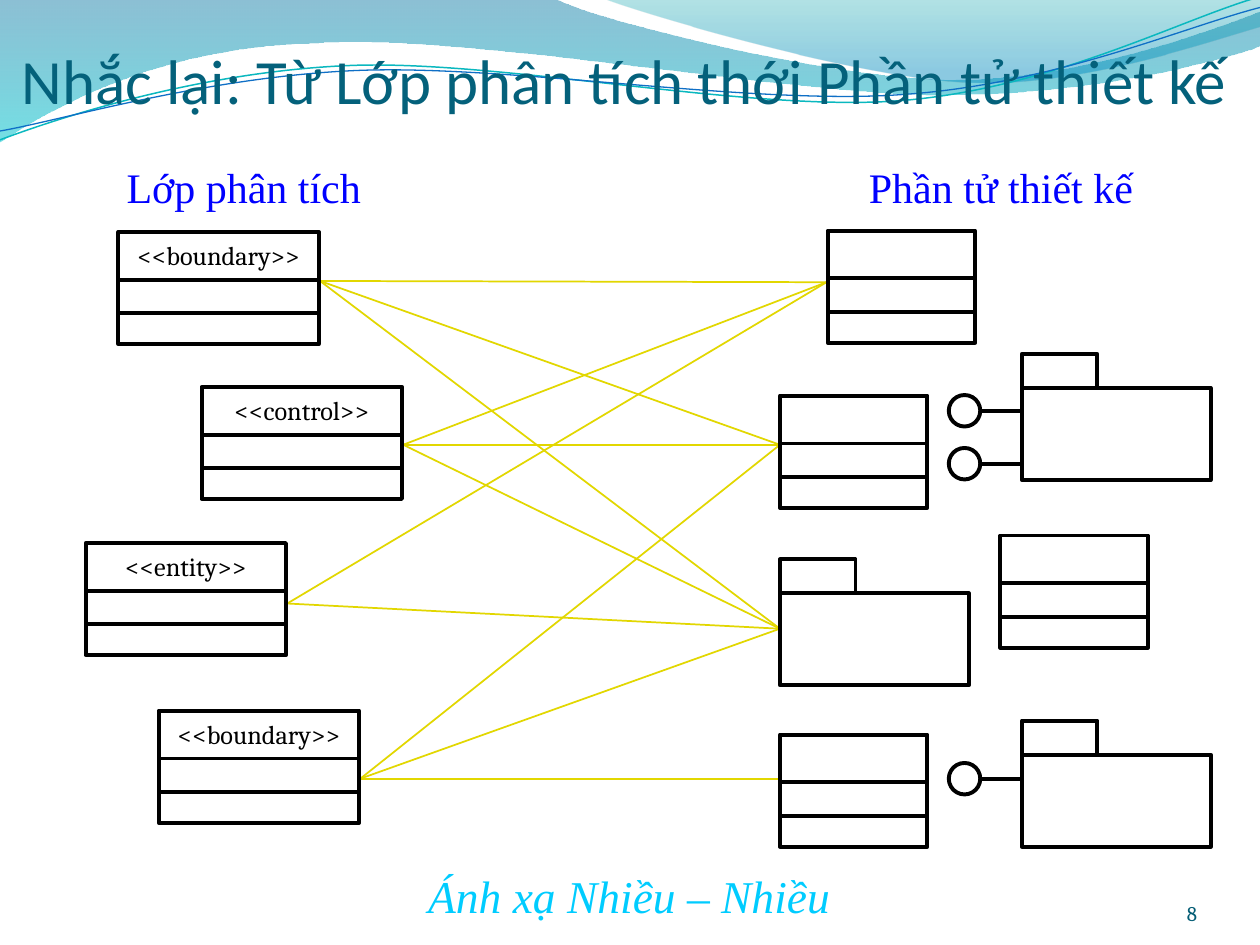
"""Build the slide that maps analysis classes to design elements."""
from math import cos, radians, sin

from lxml.etree import SubElement
from pptx import Presentation
from pptx.dml.color import RGBColor
from pptx.enum.shapes import MSO_CONNECTOR, MSO_SHAPE
from pptx.enum.text import MSO_ANCHOR, MSO_AUTO_SIZE, PP_ALIGN
from pptx.oxml.ns import qn
from pptx.util import Inches, Pt

COLUMNS, ROWS = 10, 7.5
CELL = Inches(1)

BLACK = RGBColor(0x00, 0x00, 0x00)
BLUE = RGBColor(0x00, 0x00, 0xFF)
SKY = RGBColor(0x00, 0xCC, 0xFF)
YELLOW = RGBColor(0xE2, 0xD7, 0x00)
TITLE_TEAL = RGBColor(0x04, 0x61, 0x7B)
NUMBER_TEAL = RGBColor(0x04, 0x5D, 0x75)
WAVE_BLUE = RGBColor(0x00, 0x74, 0xA1)
WAVE_CYAN = RGBColor(0x00, 0xC6, 0xCF)
CREST_TEAL = RGBColor(0x00, 0xA1, 0xA9)
CREST_BLUE = RGBColor(0x00, 0x8B, 0xBF)
LINE_TEAL = RGBColor(0x0A, 0xB8, 0xBF)
LINE_BLUE = RGBColor(0x0F, 0x6F, 0xC6)

OUTLINE = 2.25
TILT = 2.7
BOX_HEIGHT = 0.89
DIVIDERS = (0.38, 0.645)
ANALYSIS_WIDTH, DESIGN_WIDTH = 1.59, 1.17
LABEL_MARGIN = 0.08
TAB_WIDTH, TAB_HEIGHT = 0.6, 0.27
PACKAGE_WIDTH, PACKAGE_HEIGHT = 1.5, 0.73
BALL, STEM = 0.25, 0.33

HEADINGS = [("Lớp phân tích", 0.6), ("Phần tử thiết kế", 6.61)]
ANALYSIS_CLASSES = [("<<boundary>>", 0.94, 1.84), ("<<control>>", 1.6, 3.07),
                    ("<<entity>>", 0.68, 4.31), ("<<boundary>>", 1.26, 5.64)]
DESIGN_CLASSES = [(6.57, 1.83), (6.19, 3.14), (7.94, 4.25), (6.19, 5.83)]
PACKAGES = [(8.11, 2.81, (3.26, 3.68)), (6.19, 4.44, ()), (8.11, 5.72, (6.18,))]

TOP_CLASS, MIDDLE_CLASS = (6.56, 2.24), (6.19, 3.53)
PACKAGE, BOTTOM_CLASS = (6.19, 4.99), (6.19, 6.18)
MAPPING = {
    (2.54, 2.23): (TOP_CLASS, MIDDLE_CLASS, PACKAGE),
    (3.2, 3.53): (TOP_CLASS, MIDDLE_CLASS, PACKAGE),
    (2.28, 4.79): (TOP_CLASS, PACKAGE),
    (2.86, 6.18): (MIDDLE_CLASS, PACKAGE, BOTTOM_CLASS),
}

WAVE = [
    [(0, 0)], [(4.4, -0.01)],
    [(4.76, 0.17), (6.64, 0.63), (7.58, 0.63)],
    [(8.53, 0.63), (9.58, 0.26), (10, 0.09)], [(10.01, 0.36)],
    [(9.83, 0.44), (8.7, 0.76), (7.46, 0.75)],
    [(6.22, 0.75), (3.82, 0.28), (2.57, 0.34)],
    [(1.29, 0.36), (0.46, 0.83), (-0.01, 1.13)], [(0, 0)],
]
CREST = [
    [(4.79, -0.01)],
    [(5.09, 0.11), (6.82, 0.62), (7.69, 0.65)],
    [(8.56, 0.69), (9.61, 0.32), (10, 0.21)], [(10, 0)], [(4.79, -0.01)],
]
TEAL_CURVE = [
    [(0, 1.11)],
    [(0.48, 0.93), (1.58, 0.57), (2.77, 0.52)],
    [(3.95, 0.47), (5.93, 0.89), (7.13, 0.8)],
    [(8.33, 0.71), (9.38, 0.15), (9.98, -0.02)],
]
BLUE_CURVE = [
    [(0, 1.04)],
    [(0.47, 0.96), (1.64, 0.61), (2.83, 0.56)],
    [(4.03, 0.51), (5.97, 0.84), (7.17, 0.75)],
    [(8.36, 0.67), (9.41, 0.21), (10, 0.06)],
]


def grid(*cells):
    """Turn counts of grid cells into whole lengths."""
    return [round(cell * CELL) for cell in cells]


def turn(point, center, degrees):
    """Turn a point clockwise around a center."""
    across, down = point[0] - center[0], point[1] - center[1]
    cosine, sine = cos(radians(degrees)), sin(radians(degrees))
    return (center[0] + across * cosine - down * sine, center[1] + across * sine + down * cosine)


def add_outline(parent, segments, close):
    """Add a freeform of straight and cubic segments."""
    points = [grid(*point) for segment in segments for point in segment]
    builder = parent.shapes.build_freeform(*points[0])
    builder.add_line_segments(points[1:], close=close)
    shape = builder.convert_to_shape()
    shape.shadow.inherit = False
    outline = next(shape.element.iter(qn("a:path")))
    nodes = iter(list(outline)[1:])
    for segment in segments[1:]:
        first, *others = [next(nodes) for _ in segment]
        if others:
            first.tag = qn("a:cubicBezTo")
        for node in others:
            first.append(node[0])
            outline.remove(node)
    return shape


def add_wave(slide, segments, stops):
    """Add a filled wave with a translucent downward gradient."""
    shape = add_outline(slide, segments, True)
    shape.line.fill.background()
    shape.fill.gradient()
    shape.fill.gradient_angle = 270
    for stop, (position, color, _) in zip(shape.fill.gradient_stops, stops):
        stop.position = position
        stop.color.rgb = color
    for node, (_, _, opacity) in zip(shape.element.iter(qn("a:srgbClr")), stops):
        SubElement(node, qn("a:alpha")).set("val", str(opacity * 1000))


def add_curve(parent, segments, center, color, width):
    """Add an open curve as a level outline that is then tilted."""
    level = [[turn(point, center, TILT) for point in segment] for segment in segments]
    shape = add_outline(parent, level, False)
    shape.rotation = -TILT
    shape.fill.background()
    shape.line.color.rgb = color
    shape.line.width = Pt(width)


def add_line(parent, start, end, color=BLACK, width=OUTLINE):
    """Add a straight line between two grid points."""
    line = parent.shapes.add_connector(MSO_CONNECTOR.STRAIGHT, *grid(*start, *end))
    line.line.color.rgb = color
    line.line.width = Pt(width)
    SubElement(line.element.spPr, qn("a:effectLst"))


def add_frame(parent, left, top, width, height, kind=MSO_SHAPE.RECTANGLE):
    """Add an unfilled black-edged shape."""
    shape = parent.shapes.add_shape(kind, *grid(left, top, width, height))
    shape.shadow.inherit = False
    shape.fill.background()
    shape.line.color.rgb = BLACK
    shape.line.width = Pt(OUTLINE)


def format_text(box, text, font, size, color, align, anchor, margins, italic=None):
    """Write one line of text and format it."""
    frame = box.text_frame
    frame.text = text
    frame.word_wrap = True
    frame.auto_size = MSO_AUTO_SIZE.NONE
    frame.vertical_anchor = anchor
    frame.margin_left, frame.margin_top, frame.margin_right, frame.margin_bottom = grid(*margins)
    para = frame.paragraphs[0]
    para.alignment = align
    span = para.runs[0].font
    span.name, span.size, span.italic = font, Pt(size), italic
    span.color.rgb = color


def add_label(parent, text, place, font, size, color, italic=None):
    """Add a centred text box."""
    box = parent.shapes.add_textbox(*grid(*place))
    format_text(box, text, font, size, color, PP_ALIGN.CENTER, MSO_ANCHOR.TOP,
                (0.12, 0.06, 0.12, 0.06), italic)


def add_class(slide, left, top, width, stereotype=None):
    """Add a grouped class box with three compartments."""
    group = slide.shapes.add_group_shape()
    add_frame(group, left, top, width, BOX_HEIGHT)
    for offset in DIVIDERS:
        add_line(group, (left, top + offset), (left + width, top + offset))
    if stereotype:
        place = (left - LABEL_MARGIN, top, width + 2 * LABEL_MARGIN, 0.37)
        add_label(group, stereotype, place, "Cambria", 15, BLACK)


def add_package(slide, left, top, interfaces):
    """Add a grouped package with its interface balls."""
    group = slide.shapes.add_group_shape()
    add_frame(group, left, top + TAB_HEIGHT, PACKAGE_WIDTH, PACKAGE_HEIGHT)
    add_frame(group, left, top, TAB_WIDTH, TAB_HEIGHT)
    for middle in interfaces:
        add_frame(group, left - STEM - BALL, middle - BALL / 2, BALL, BALL, MSO_SHAPE.OVAL)
        add_line(group, (left - STEM, middle), (left, middle))


def add_title(slide, text):
    """Place the title in front of the waves."""
    title = slide.shapes.title
    title.left, title.top, title.width, title.height = grid(0.17, -0.01, 9.67, 0.94)
    format_text(title, text, "Calibri", 36, TITLE_TEAL, PP_ALIGN.LEFT, MSO_ANCHOR.BOTTOM, (0, 0.05, 0, 0))
    title.element.getparent().append(title.element)


def main():
    """Build and save the deck."""
    deck = Presentation()
    deck.slide_width, deck.slide_height = grid(COLUMNS, ROWS)
    page = deck.slides.add_slide(deck.slide_layouts[5])
    add_wave(page, WAVE, [(0, WAVE_BLUE, 45), (1, WAVE_CYAN, 55)])
    add_wave(page, CREST, [(0, CREST_TEAL, 30), (0.8, CREST_BLUE, 45)])
    curves = page.shapes.add_group_shape()
    add_curve(curves, TEAL_CURVE, (4.99, 0.58), LINE_TEAL, 0.85)
    add_curve(curves, BLUE_CURVE, (5, 0.59), LINE_BLUE, 0.75)
    for text, left in HEADINGS:
        add_label(page, text, (left, 1.22, 2.67, 0.52), "Times New Roman", 24, BLUE)
    add_label(page, "Ánh xạ Nhiều – Nhiều", (2.83, 6.83, 4.33, 0.55), "Times New Roman", 26, SKY, True)
    add_title(page, "Nhắc lại: Từ Lớp phân tích thới Phần tử thiết kế")
    number = page.shapes.add_textbox(*grid(8.67, 6.95, 0.83, 0.4))
    format_text(number, "8", "Cambria", 12, NUMBER_TEAL, PP_ALIGN.RIGHT, MSO_ANCHOR.BOTTOM, (0, 0, 0, 0))
    for source, targets in MAPPING.items():
        for target in targets:
            add_line(page, source, target, YELLOW, 1)
    for left, top in DESIGN_CLASSES:
        add_class(page, left, top, DESIGN_WIDTH)
    for left, top, interfaces in PACKAGES:
        add_package(page, left, top, interfaces)
    for stereotype, left, top in ANALYSIS_CLASSES:
        add_class(page, left, top, ANALYSIS_WIDTH, stereotype)
    deck.save("out.pptx")


if __name__ == "__main__":
    main()
